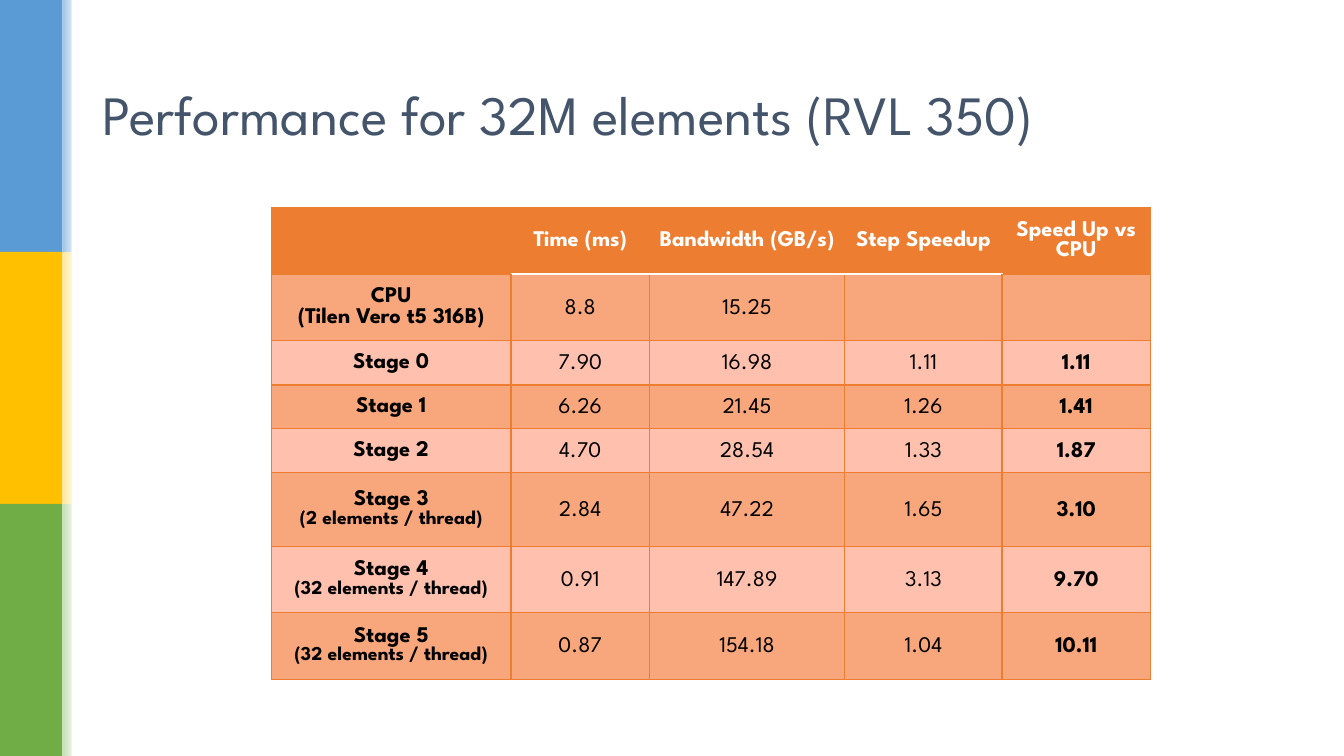
from lxml import etree
from pptx import Presentation
from pptx import util as u
from pptx.dml.color import RGBColor
from pptx.enum import shapes, text
from pptx.oxml.ns import qn

TITLE = "Performance for 32M elements (RVL 350)"
HEADER = ["", "Time (ms)", "Bandwidth (GB/s)", "Step Speedup", "Speed Up vs CPU"]
RESULTS = [
    ("CPU\n(Tilen Vero t5 316B)", "8.8", "15.25", "", ""),
    ("Stage 0", "7.90", "16.98", "1.11", "1.11"),
    ("Stage 1", "6.26", "21.45", "1.26", "1.41"),
    ("Stage 2", "4.70", "28.54", "1.33", "1.87"),
    ("Stage 3\n(2 elements / thread)", "2.84", "47.22", "1.65", "3.10"),
    ("Stage 4\n(32 elements / thread)", "0.91", "147.89", "3.13", "9.70"),
    ("Stage 5\n(32 elements / thread)", "0.87", "154.18", "1.04", "10.11"),
]
BANDS = [("blue", "pale_blue"), ("gold", "pale_gold"), ("green", "pale_green")]
COLORS = {
    "blue": "5B9BD5", "pale_blue": "9DC3E6",
    "gold": "FFC000", "pale_gold": "FFE699",
    "green": "70AD47", "pale_green": "C5E0B4",
    "title": "44546A", "orange": "ED7D31",
    "dark_row": "F8A67C", "light_row": "FFC0AE",
    "white": "FFFFFF", "black": "000000",
}
FONT = "League Spartan"
WIDTH, HEIGHT = 13.33, 7.5
BAR, FADE = 0.62, 0.16
TABLE_LEFT, TABLE_TOP = 2.69, 2.06
COLUMNS = [2.38, 1.37, 1.94, 1.56, 1.47]
ROWS = [0.66, 0.66, 0.44, 0.43, 0.43, 0.73, 0.66, 0.66]


def rgb(name):
    return RGBColor.from_string(COLORS[name])


def style(p, size, color, bold=False):
    p.font.name = FONT
    p.font.size = u.Pt(size)
    p.font.bold = bold
    p.font.color.rgb = rgb(color)


def add_bar(s, left, top, width, height, color, fade=False):
    sp = s.shapes.add_shape(shapes.MSO_SHAPE.RECTANGLE, *map(u.Inches, (left, top, width, height)))
    sp.shadow.inherit = False
    sp.line.fill.background()
    if fade:
        sp.fill.gradient()
        sp.fill.gradient_angle = 0
        for stop, name in zip(sp.fill.gradient_stops, (color, "white")):
            stop.color.rgb = rgb(name)
    else:
        sp.fill.solid()
        sp.fill.fore_color.rgb = rgb(color)


def set_border(cell, side, color, width):
    ln = etree.SubElement(cell._tc.get_or_add_tcPr(), qn(f"a:ln{side}"), w=str(u.Pt(width)))
    fill = etree.SubElement(ln, qn("a:solidFill"))
    etree.SubElement(fill, qn("a:srgbClr"), val=COLORS[color])


def format_cell(cell, row, col, value):
    last = len(COLUMNS) - 1
    inner = 0 < col < last
    widths = {"L": 1.5 if row and col in (1, last) else 1,
              "R": 1.5 if row and col in (0, last - 1) else 1, "T": 1, "B": 1}
    for side, width in widths.items():
        under_header = inner and (row, side) in ((0, "B"), (1, "T"))
        set_border(cell, side, "white" if under_header else "orange", 1.5 if under_header else width)
    cell.fill.solid()
    cell.fill.fore_color.rgb = rgb("orange" if row == 0 else "dark_row" if row % 2 else "light_row")
    cell.vertical_anchor = text.MSO_ANCHOR.MIDDLE
    cell.margin_left = cell.margin_right = cell.margin_top = cell.margin_bottom = u.Inches(0.1)
    cell.text_frame.text = value
    for i, p in enumerate(cell.text_frame.paragraphs):
        p.alignment = text.PP_ALIGN.CENTER
        if row and col:
            p.line_spacing = 1.15
        style(p, 14 if i and row > 1 else 16, "black" if row else "white", row == 0 or not inner)


def main():
    prs = Presentation()
    prs.slide_width, prs.slide_height = u.Inches(WIDTH), u.Inches(HEIGHT)
    s = prs.slides.add_slide(prs.slide_layouts[5])

    band = HEIGHT / len(BANDS)
    for i, (color, pale) in enumerate(BANDS):
        add_bar(s, 0, i * band, BAR, band, color)
        add_bar(s, BAR, i * band, FADE, band, pale, fade=True)
    add_bar(s, 0.71, 0, 0.05, HEIGHT, "white")

    title = s.shapes.title
    title.left, title.top, title.width, title.height = map(u.Inches, (0.92, 0.4, 11.5, 1.45))
    tf = title.text_frame
    tf.text = TITLE
    tf.auto_size = text.MSO_AUTO_SIZE.NONE
    tf.vertical_anchor = text.MSO_ANCHOR.MIDDLE
    tf.paragraphs[0].alignment = text.PP_ALIGN.LEFT
    style(tf.paragraphs[0], 39.6, "title")

    frame = s.shapes.add_table(len(ROWS), len(COLUMNS), u.Inches(TABLE_LEFT), u.Inches(TABLE_TOP),
                               u.Inches(sum(COLUMNS)), u.Inches(sum(ROWS)))
    table = frame.table
    for column, width in zip(table.columns, COLUMNS):
        column.width = u.Inches(width)
    for row, height in zip(table.rows, ROWS):
        row.height = u.Inches(height)
    for r, values in enumerate([HEADER, *RESULTS]):
        for c, value in enumerate(values):
            format_cell(table.cell(r, c), r, c, value)

    prs.save("out.pptx")


if __name__ == "__main__":
    main()
